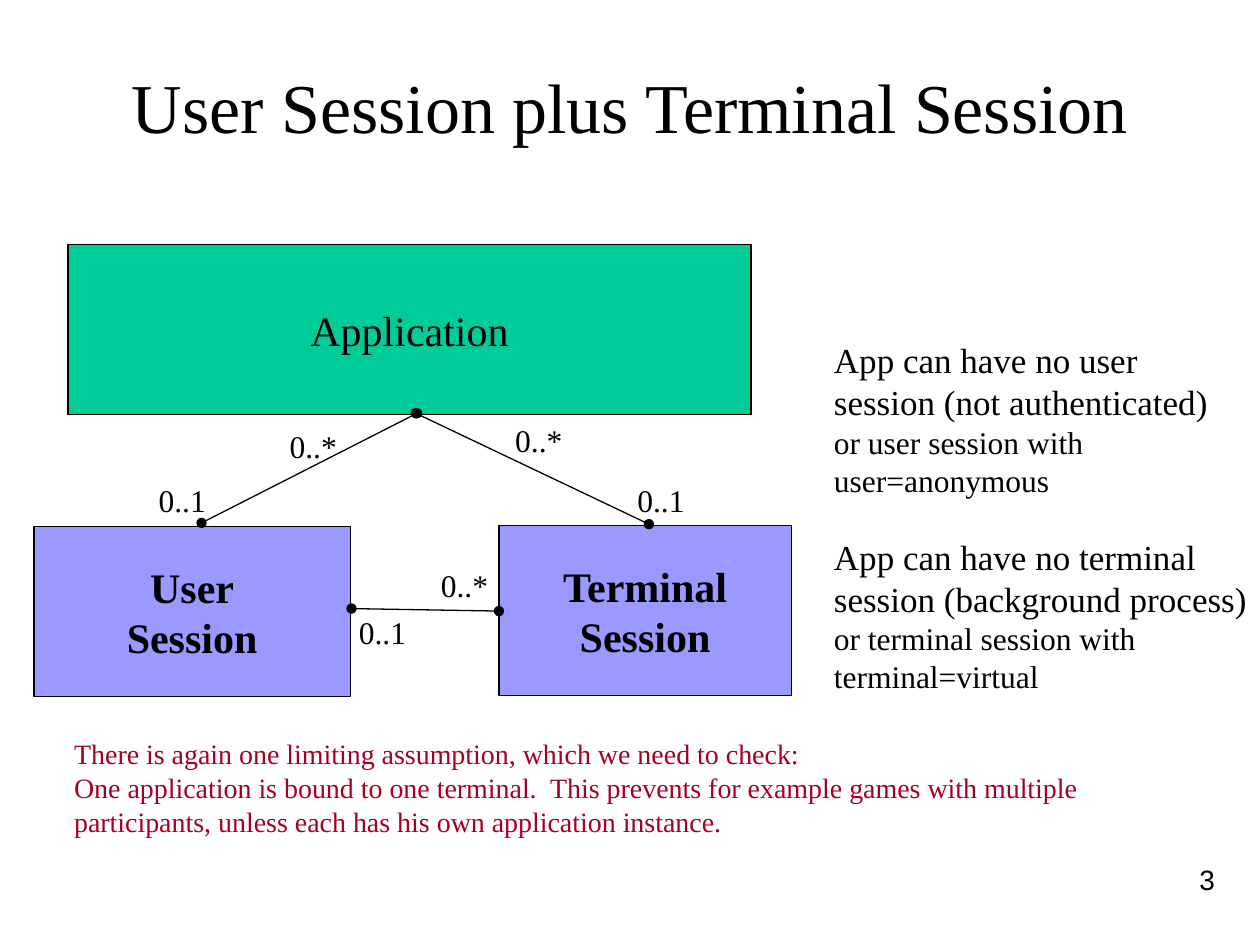
from dataclasses import dataclass

import pptx
import pptx.dml.color
import pptx.enum.shapes
import pptx.enum.text
import pptx.oxml
import pptx.oxml.ns
import pptx.util

Inches = pptx.util.Inches
Pt = pptx.util.Pt
ALIGN = pptx.enum.text.PP_ALIGN
ANCHOR = pptx.enum.text.MSO_ANCHOR
AUTO = pptx.enum.text.MSO_AUTO_SIZE


@dataclass(frozen=True)
class Theme:
    serif: str = "Times New Roman"
    sans: str = "Arial"
    black: str = "000000"
    red: str = "A50021"
    green: str = "00CC99"
    violet: str = "9999FF"
    title: int = 40
    box: int = 24
    note: int = 20
    label: int = 18
    small: int = 16
    line: float = 0.75


THEME = Theme()


def rgb(color):
    return pptx.dml.color.RGBColor.from_string(color)


def write(tf, paragraphs, size=THEME.label, font=THEME.serif, color=THEME.black,
          bold=False, align=ALIGN.LEFT, anchor=ANCHOR.TOP, wrap=True,
          auto=AUTO.NONE, last_gap=0):
    tf.word_wrap = wrap
    tf.auto_size = auto
    tf.vertical_anchor = anchor
    for i, runs in enumerate(paragraphs):
        p = tf.paragraphs[0] if i == 0 else tf.add_paragraph()
        p.alignment = align
        if i == len(paragraphs) - 1:
            p.space_before = Pt(last_gap)
        for run in [runs] if isinstance(runs, str) else runs:
            text, run_size = (run, size) if isinstance(run, str) else run
            r = p.add_run()
            r.text = text
            r.font.name = font
            r.font.size = Pt(run_size)
            r.font.bold = bold
            r.font.color.rgb = rgb(color)


def add_title(s, text):
    sp = s.shapes.title
    sp.left, sp.top = Inches(0.75), Inches(0.21)
    sp.width, sp.height = Inches(8.5), Inches(1.25)
    write(sp.text_frame, [text], size=THEME.title, align=ALIGN.CENTER,
          anchor=ANCHOR.MIDDLE)


def add_text(s, x, y, w, h, paragraphs, **fmt):
    sp = s.shapes.add_textbox(Inches(x), Inches(y), Inches(w), Inches(h))
    write(sp.text_frame, paragraphs, auto=AUTO.SHAPE_TO_FIT_TEXT, **fmt)


def add_box(s, x, y, w, lines, fill, bold=False):
    sp = s.shapes.add_shape(pptx.enum.shapes.MSO_SHAPE.RECTANGLE,
                            Inches(x), Inches(y), Inches(w), Inches(1.35))
    sp.shadow.inherit = False
    sp.fill.solid()
    sp.fill.fore_color.rgb = rgb(fill)
    sp.line.color.rgb = rgb(THEME.black)
    sp.line.width = Pt(THEME.line)
    write(sp.text_frame, lines, size=THEME.box, bold=bold, align=ALIGN.CENTER,
          anchor=ANCHOR.MIDDLE, wrap=False)


def add_link(s, x1, y1, x2, y2):
    cx = s.shapes.add_connector(pptx.enum.shapes.MSO_CONNECTOR.STRAIGHT,
                                Inches(x1), Inches(y1), Inches(x2), Inches(y2))
    cx.line.color.rgb = rgb(THEME.black)
    cx.line.width = Pt(THEME.line)
    sp_pr = cx._element.spPr
    ln = sp_pr.find(pptx.oxml.ns.qn("a:ln"))
    for end in ("headEnd", "tailEnd"):
        ln.append(pptx.oxml.parse_xml(
            f'<a:{end} {pptx.oxml.ns.nsdecls("a")} type="oval"/>'))
    sp_pr.append(pptx.oxml.parse_xml(
        f'<a:effectLst {pptx.oxml.ns.nsdecls("a")}/>'))


def main():
    prs = pptx.Presentation()
    prs.slide_width, prs.slide_height = Inches(10), Inches(7.5)
    s = prs.slides.add_slide(prs.slide_layouts[5])

    add_title(s, "User Session plus Terminal Session")

    add_box(s, 0.54, 1.94, 5.42, ["Application"], THEME.green)
    add_box(s, 0.27, 4.18, 2.51, ["User", "Session"], THEME.violet, bold=True)
    add_box(s, 3.96, 4.17, 2.32, ["Terminal", "Session"], THEME.violet, bold=True)

    for ends in [(3.31, 3.28, 1.6, 4.15),
                 (3.3, 3.28, 5.15, 4.16),
                 (2.79, 4.83, 3.96, 4.85)]:
        add_link(s, *ends)

    for x, y, text in [(2.2, 3.34, "0..*"), (1.16, 3.77, "0..1"),
                       (3.99, 3.29, "0..*"), (4.96, 3.77, "0..1"),
                       (2.75, 4.82, "0..1"), (3.4, 4.44, "0..*")]:
        add_text(s, x, y, 0.62, 0.4, [text])

    add_text(s, 6.52, 2.64, 3.48, 2.94, [
        [("App can have no user session (not authenticated)", THEME.note)],
        "or user session with user=anonymous",
        [("App can have no terminal session (background process) ", THEME.note),
         "or terminal session with terminal=virtual"],
    ], last_gap=21)

    add_text(s, 0.49, 5.8, 9.16, 0.9, [
        "There is again one limiting assumption, which we need to check:",
        "One application is bound to one terminal.  This prevents for example "
        "games with multiple participants, unless each has his own application "
        "instance.",
    ], size=THEME.small, color=THEME.red)

    add_text(s, 8.53, 6.8, 1.21, 0.37, ["3"], size=THEME.small, font=THEME.sans,
             align=ALIGN.RIGHT)

    prs.save("out.pptx")


if __name__ == "__main__":
    main()
